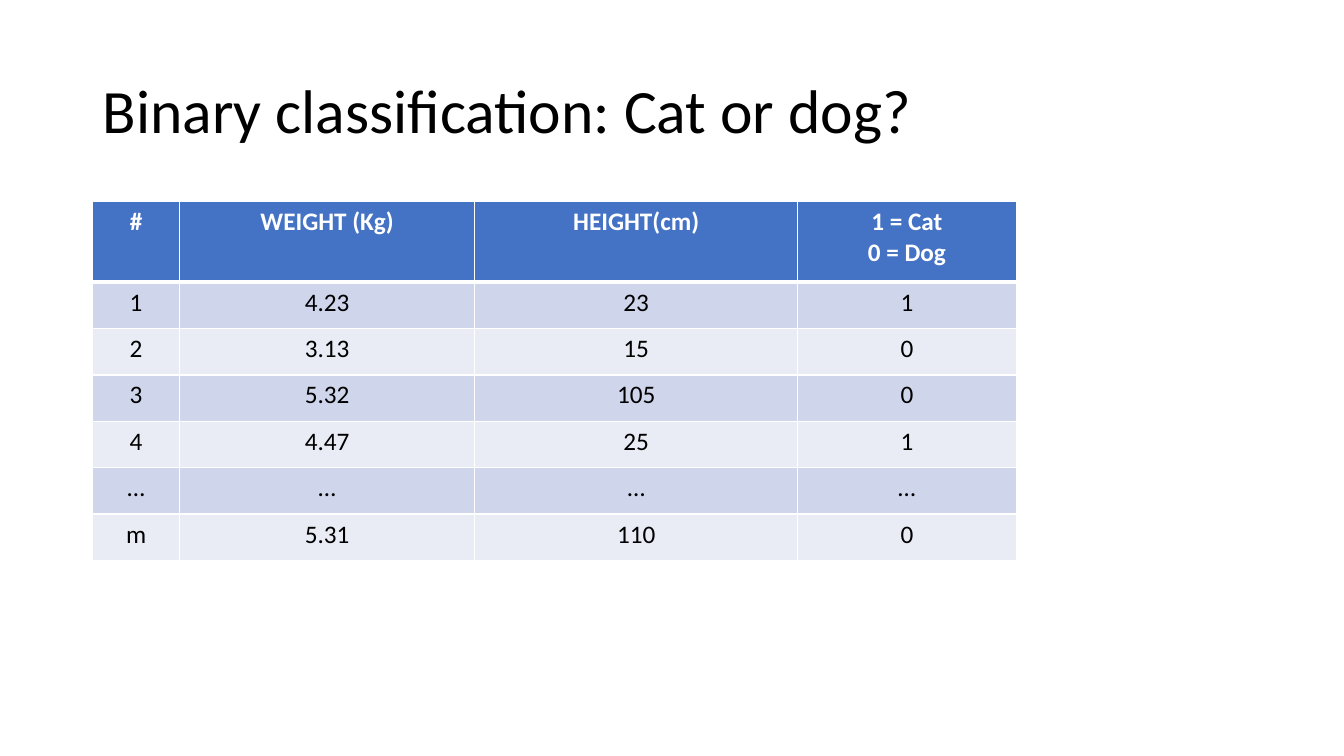
from dataclasses import dataclass

from lxml.etree import SubElement
from pptx import Presentation
from pptx.dml.color import RGBColor as RGB
from pptx.enum.text import MSO_ANCHOR as Anchor, PP_ALIGN as Align
from pptx.oxml.ns import qn
from pptx.util import Inches, Pt


@dataclass(frozen=True)
class Theme:
    font: str = "Calibri"
    title_size: int = 44
    table_size: int = 18
    ink: str = "000000"
    white: str = "FFFFFF"
    header: str = "4472C4"
    bands: tuple = ("CFD5EA", "E9EBF5")
    thin: int = 1
    thick: int = 3


HEADINGS = ("#", "WEIGHT (Kg)", "HEIGHT(cm)", "1 = Cat\n0 = Dog")
ANIMALS = (
    ("1", "4.23", "23", "1"),
    ("2", "3.13", "15", "0"),
    ("3", "5.32", "105", "0"),
    ("4", "4.47", "25", "1"),
    ("…", "…", "…", "…"),
    ("m", "5.31", "110", "0"),
)
COLUMN_WIDTHS = (0.86, 2.93, 3.2, 2.17)
HEADER_HEIGHT, ROW_HEIGHT = 0.8, 0.46


def write(frame, text, *, font, size, color, bold=False, align=Align.LEFT, spacing=1.0):
    """Fill a text frame, one paragraph per line of text."""
    frame.text = text
    for paragraph in frame.paragraphs:
        paragraph.alignment = align
        paragraph.line_spacing = spacing
        for run in paragraph.runs:
            run.font.name = font
            run.font.size = Pt(size)
            run.font.bold = bold
            run.font.color.rgb = RGB.from_string(color)


def set_borders(cell, color, **widths):
    """Draw cell edges; widths in points are keyed L, R, T, B in that order."""
    properties = cell._tc.get_or_add_tcPr()
    for side, width in widths.items():
        edge = SubElement(properties, qn(f"a:ln{side}"), w=str(Pt(width)))
        SubElement(SubElement(edge, qn("a:solidFill")), qn("a:srgbClr"), val=color)


class SlideBuilder:
    def __init__(self, slide, theme):
        self.slide = slide
        self.theme = theme

    def title(self, text, left, top, width, height):
        theme = self.theme
        box = self.slide.shapes.add_textbox(*map(Inches, (left, top, width, height)))
        box.text_frame.word_wrap = True
        box.text_frame.vertical_anchor = Anchor.MIDDLE
        write(box.text_frame, text, font=theme.font, size=theme.title_size,
              color=theme.ink, spacing=0.9)

    def table(self, headings, records, left, top):
        rows = (headings, *records)
        heights = [HEADER_HEIGHT] + [ROW_HEIGHT] * len(records)
        table = self.slide.shapes.add_table(
            len(rows), len(headings), Inches(left), Inches(top),
            Inches(sum(COLUMN_WIDTHS)), Inches(sum(heights))).table
        for column, width in zip(table.columns, COLUMN_WIDTHS):
            column.width = Inches(width)
        for r, (values, height) in enumerate(zip(rows, heights)):
            table.rows[r].height = Inches(height)
            for c, value in enumerate(values):
                self.cell(table.cell(r, c), value, r)

    def cell(self, cell, text, row):
        theme = self.theme
        is_header = row == 0
        set_borders(cell, theme.white, L=theme.thin, R=theme.thin,
                    T=theme.thick if row == 1 else theme.thin,
                    B=theme.thick if is_header else theme.thin)
        cell.fill.solid()
        fill = theme.header if is_header else theme.bands[(row - 1) % 2]
        cell.fill.fore_color.rgb = RGB.from_string(fill)
        write(cell.text_frame, text, font=theme.font, size=theme.table_size,
              color=theme.white if is_header else theme.ink,
              bold=is_header, align=Align.CENTER)


def main():
    deck = Presentation()
    deck.slide_width, deck.slide_height = Inches(13.33), Inches(7.5)
    builder = SlideBuilder(deck.slides.add_slide(deck.slide_layouts[6]), Theme())
    builder.title("Binary classification: Cat or dog?", 0.92, 0.4, 11.5, 1.45)
    builder.table(HEADINGS, ANIMALS, 0.92, 2)
    deck.save("out.pptx")


if __name__ == "__main__":
    main()
